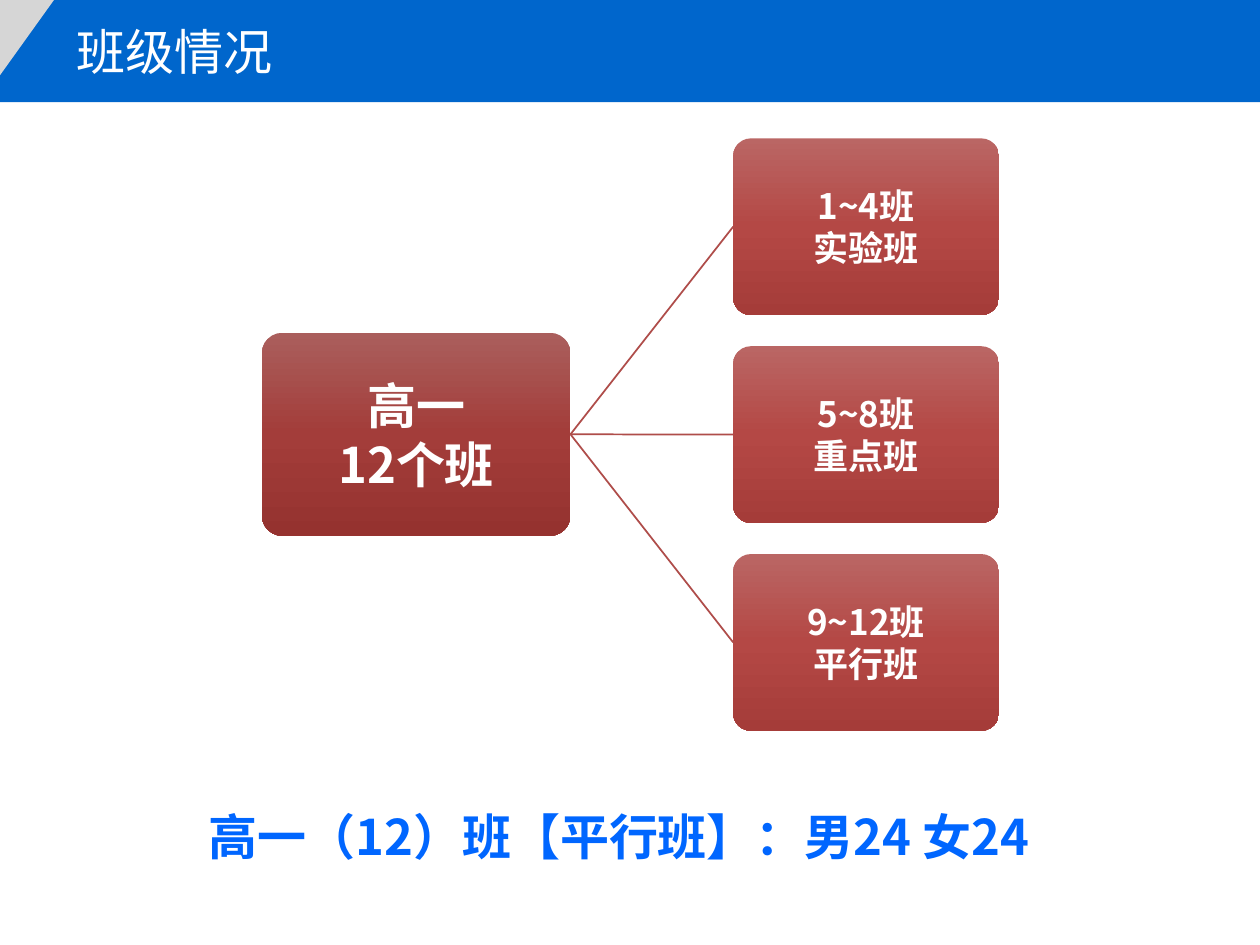
from dataclasses import dataclass

from lxml import etree
from pptx import Presentation
from pptx import util as u
from pptx.dml.color import RGBColor
from pptx.enum import shapes, text
from pptx.oxml import ns

CJK = "Noto Sans CJK SC"
LINE = "AF4D4A"
ROOT_SHADES = ("AA5E5C", "A33D3A", "95322F")
GROUP_SHADES = ("BA6664", "B44845", "A53C39")
GROUP_TOP, GROUP_STEP = 2.79, 4.19


@dataclass
class Node:
    lines: tuple[str, ...]
    left: float
    top: float
    width: float
    height: float
    size: int
    inset: float
    shades: tuple[str, ...]


def rgb(value: str) -> RGBColor:
    return RGBColor.from_string(value)


def place(left: float, top: float, width: float, height: float) -> tuple[u.Cm, ...]:
    return u.Cm(left), u.Cm(top), u.Cm(width), u.Cm(height)


def add_span(para, words: str, size: int, color: str, face: str, bold: bool = False):
    span = para.add_run()
    span.text = words
    span.font.size = u.Pt(size)
    span.font.bold = bold
    span.font.color.rgb = rgb(color)
    span.font.name = face
    etree.SubElement(span.font._element, ns.qn("a:ea"), typeface=CJK)


def add_plain(page, kind, area: tuple[float, ...], color: str):
    shape = page.shapes.add_shape(kind, *place(*area))
    shape.shadow.inherit = False
    shape.fill.solid()
    shape.fill.fore_color.rgb = rgb(color)
    shape.line.fill.background()
    return shape


def shade_down(shape, shades: tuple[str, ...]):
    """Fill from top to bottom with evenly spaced colours."""
    shape.fill.gradient()
    shape.fill.gradient_angle = 270
    stops = shape._element.spPr.find(".//" + ns.qn("a:gsLst"))
    for stop in list(stops):
        stops.remove(stop)
    for index, shade in enumerate(shades):
        position = 100000 * index // (len(shades) - 1)
        stop = etree.SubElement(stops, ns.qn("a:gs"), pos=str(position))
        etree.SubElement(stop, ns.qn("a:srgbClr"), val=shade)


def add_node(page, node: Node):
    area = (node.left, node.top, node.width, node.height)
    box = add_plain(page, shapes.MSO_SHAPE.ROUNDED_RECTANGLE, area, node.shades[0])
    box.adjustments[0] = 0.1
    shade_down(box, node.shades)
    frame = box.text_frame
    frame.word_wrap = True
    frame.vertical_anchor = text.MSO_ANCHOR.MIDDLE
    frame.margin_left = frame.margin_right = u.Cm(node.inset)
    frame.margin_top = frame.margin_bottom = u.Cm(node.inset)
    for index, words in enumerate(node.lines):
        para = frame.add_paragraph() if index else frame.paragraphs[0]
        para.alignment = text.PP_ALIGN.CENTER
        add_span(para, words, node.size, "FFFFFF", CJK, bold=True)
    return box


def join(page, start, end):
    """Link the right side of one box to the left side of another."""
    link = page.shapes.add_connector(shapes.MSO_CONNECTOR.STRAIGHT, 0, 0, 0, 0)
    link.begin_connect(start, 3)
    link.end_connect(end, 1)
    link.line.color.rgb = rgb(LINE)
    link.line.width = u.Pt(1)
    etree.SubElement(link._element.spPr, ns.qn("a:effectLst"))


def add_label(page, area: tuple[float, ...], words: str, color: str, face: str, bold: bool):
    box = page.shapes.add_textbox(*place(*area))
    box.text_frame.word_wrap = True
    box.text_frame.auto_size = text.MSO_AUTO_SIZE.SHAPE_TO_FIT_TEXT
    add_span(box.text_frame.paragraphs[0], words, 28, color, face, bold)


def main():
    deck = Presentation()
    deck.slide_width, deck.slide_height = u.Cm(25.4), u.Cm(19.05)
    page = deck.slides.add_slide(deck.slide_layouts[6])

    add_plain(page, shapes.MSO_SHAPE.RECTANGLE, (0, 0, 25.4, 2.06), "0066CC")
    corner = add_plain(page, shapes.MSO_SHAPE.RIGHT_TRIANGLE, (0, 0, 1.09, 1.52), "D6D6D6")
    corner._element.spPr.xfrm.set("flipV", "1")
    add_label(page, (1.3, 0.3, 12.32, 1.45), "班级情况", "FFFFFF", "Arial", False)

    grade = add_node(page, Node(("高一", "12个班"), 5.28, 6.71, 6.22, 4.09, 28, 0.05, ROOT_SHADES))
    groups = (("1~4班", "实验班"), ("5~8班", "重点班"), ("9~12班", "平行班"))
    for index, lines in enumerate(groups):
        top = GROUP_TOP + index * GROUP_STEP
        group = add_node(page, Node(lines, 14.78, top, 5.36, 3.56, 20, 0.03, GROUP_SHADES))
        join(page, grade, group)

    add_label(page, (3.96, 16.13, 17.48, 1.45), "高一（12）班【平行班】：男24 女24", "0066FF", CJK, True)
    deck.save("out.pptx")


if __name__ == "__main__":
    main()
